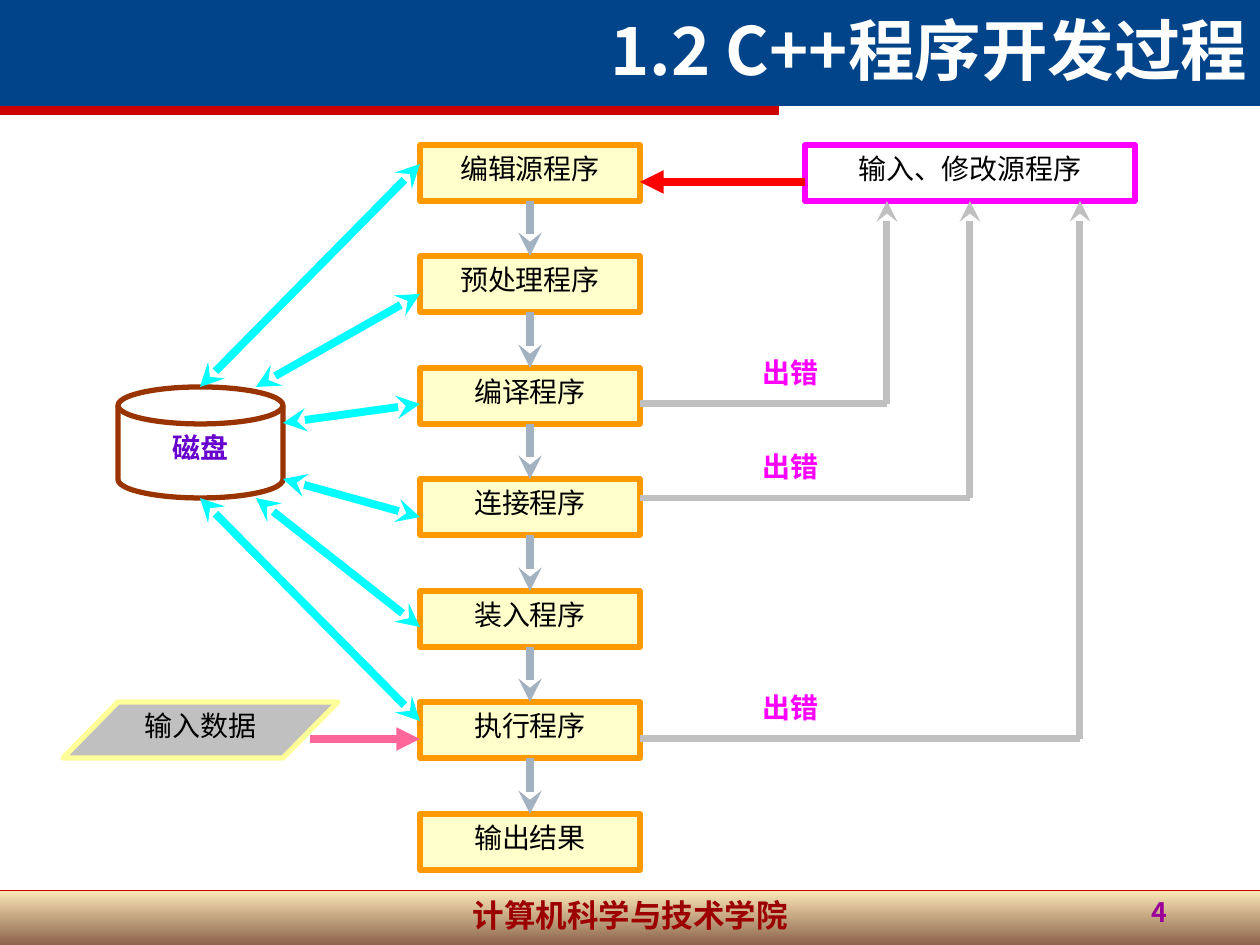
import collections

import lxml.etree
import pptx
import pptx.dml.color
import pptx.enum.shapes
import pptx.enum.text
import pptx.oxml.ns
import pptx.util

RGB = pptx.dml.color.RGBColor
SHAPE = pptx.enum.shapes.MSO_SHAPE
ALIGN = pptx.enum.text.PP_ALIGN
ANCHOR = pptx.enum.text.MSO_ANCHOR
qn = pptx.oxml.ns.qn

BLACK = RGB(0x00, 0x00, 0x00)
WHITE = RGB(0xFF, 0xFF, 0xFF)
NAVY = RGB(0x01, 0x44, 0x8A)
CRIMSON = RGB(0xCC, 0x00, 0x00)
MAROON = RGB(0x9C, 0x00, 0x00)
SAND = RGB(0xFC, 0xE2, 0xA0)
BROWN = RGB(0x66, 0x30, 0x12)
PURPLE = RGB(0x99, 0x00, 0x99)
CREAM = RGB(0xFF, 0xFF, 0xCC)
ORANGE = RGB(0xFF, 0x99, 0x00)
STEEL = RGB(0xA3, 0xB2, 0xC1)
MAGENTA = RGB(0xFF, 0x00, 0xFF)
RED = RGB(0xFF, 0x00, 0x00)
GREY = RGB(0xC0, 0xC0, 0xC0)
RUST = RGB(0x99, 0x33, 0x00)
VIOLET = RGB(0x66, 0x00, 0xCC)
CYAN = RGB(0x00, 0xFF, 0xFF)
YELLOW = RGB(0xFF, 0xFF, 0x99)
PINK = RGB(0xFF, 0x66, 0x99)

SANS = "Noto Sans CJK SC"
SERIF = "Times New Roman"
BODY = {"name": SERIF, "size": pptx.util.Pt(16), "bold": False}
STRONG = {**BODY, "bold": True}
TITLE = {"name": SANS, "size": pptx.util.Pt(38), "bold": True}
FOOTER = {**TITLE, "size": pptx.util.Pt(18)}
PAGE_NUMBER = {**TITLE, "size": pptx.util.Pt(15.3)}

Box = collections.namedtuple("Box", "left top width height")
STAGES = ["编辑源程序", "预处理程序", "编译程序", "连接程序",
          "装入程序", "执行程序", "输出结果"]
BOX_HEIGHT = 56


def px(length):
    return pptx.util.Emu(round(length * 914400 / 126))


def write(shape, text, font, color, align=ALIGN.CENTER, anchor=ANCHOR.TOP, spacing=None):
    frame = shape.text_frame
    frame.word_wrap = True
    frame.vertical_anchor = anchor
    paragraph = frame.paragraphs[0]
    paragraph.alignment = align
    paragraph.line_spacing = spacing
    run = paragraph.add_run()
    run.text = text
    for key, value in font.items():
        setattr(run.font, key, value)
    run.font.color.rgb = color
    east_asian = lxml.etree.SubElement(run.font._element, qn("a:ea"))
    east_asian.set("typeface", SANS)


def add_label(slide, box, text, font, color, **layout):
    write(slide.shapes.add_textbox(*map(px, box)), text, font, color, **layout)


def add_block(slide, kind, box, fill, outline=None):
    block = slide.shapes.add_shape(kind, *map(px, box))
    block.shadow.inherit = False
    block.fill.solid()
    block.fill.fore_color.rgb = fill
    if outline is None:
        block.line.fill.background()
    else:
        block.line.color.rgb = outline
        block.line.width = pptx.util.Pt(3)
    return block


def add_line(slide, start, end, color, width=4.5, head=None, tail=None):
    line = slide.shapes.add_connector(
        pptx.enum.shapes.MSO_CONNECTOR.STRAIGHT, *map(px, start + end))
    line.line.color.rgb = color
    line.line.width = pptx.util.Pt(width)
    for tag, arrow in (("a:headEnd", head), ("a:tailEnd", tail)):
        if arrow:
            lxml.etree.SubElement(line.line._ln, qn(tag)).set("type", arrow)
    lxml.etree.SubElement(line._element.spPr, qn("a:effectLst"))
    return line


def add_header(slide, box):
    left, top, width, height = box
    add_block(slide, SHAPE.RECTANGLE, box, NAVY)
    add_block(slide, SHAPE.RECTANGLE, Box(left, top + height, 779, 9), CRIMSON)
    add_label(slide, Box(left + 392, top, width - 392, 95), "1.2 C++程序开发过程",
              TITLE, WHITE, align=ALIGN.RIGHT, anchor=ANCHOR.BOTTOM)


def add_footer(slide, box):
    left, top, width, height = box
    band = add_block(slide, SHAPE.RECTANGLE, box, SAND)
    band.fill.gradient()
    band.fill.gradient_angle = 270
    for stop, color in zip(band.fill.gradient_stops, (SAND, BROWN)):
        stop.color.rgb = color
    for color in band._element.spPr.iter(qn("a:srgbClr")):
        lxml.etree.SubElement(color, qn("a:alpha")).set("val", "75000")
    add_line(slide, (left, top), (left + width, top), CRIMSON, 0.25)
    add_label(slide, Box(left + 431, top, 399, height), "计算机科学与技术学院", FOOTER, MAROON)
    add_label(slide, Box(left + 907, top + 3, 273, height - 3), "4",
              PAGE_NUMBER, PURPLE, align=ALIGN.RIGHT, spacing=0.9)


def add_stages(slide, box):
    gaps = len(STAGES) - 1
    previous = None
    for index, name in enumerate(STAGES):
        top = box.top + index * (box.height - BOX_HEIGHT) // gaps
        stage = add_block(slide, SHAPE.RECTANGLE,
                          Box(box.left, top, box.width, BOX_HEIGHT), CREAM, ORANGE)
        write(stage, name, BODY, BLACK)
        if previous is not None:
            step = add_line(slide, (0, 0), (0, 0), STEEL, tail="stealth")
            step.begin_connect(previous, 2)
            step.end_connect(stage, 0)
        previous = stage


def add_corrections(slide, box):
    """Source editing box, with the error paths that lead back to it."""
    left, top = box.left, box.top
    source = Box(left + 165, top, 330, BOX_HEIGHT)
    editing = add_block(slide, SHAPE.RECTANGLE, source, WHITE, MAGENTA)
    write(editing, "输入、修改源程序", BODY, BLACK)
    add_line(slide, (source.left, top + 37), (left, top + 37), RED, tail="triangle")
    for across, down in ((247, 259), (330, 353), (440, 594)):
        corner = (left + across, top + down)
        add_line(slide, (left, top + down), corner, GREY, 4)
        add_line(slide, corner, (left + across, top + BOX_HEIGHT), GREY, 4, tail="stealth")
        add_label(slide, Box(left + 82, top + down - 55, 137, 55), "出错", STRONG, MAGENTA)


def add_disk(slide, box, stage_left):
    disk = add_block(slide, SHAPE.FLOWCHART_MAGNETIC_DISK, box, WHITE, RUST)
    write(disk, "磁盘", STRONG, VIOLET)
    accesses = ((-223, 82, 0), (-93, 138, 0), (17, 165, 36),
                (130, 165, 92), (240, 138, box.height), (334, 82, box.height))
    for stage_down, across, down in accesses:
        add_line(slide, (stage_left, box.top + stage_down),
                 (box.left + across, box.top + down), CYAN, head="stealth", tail="stealth")


def add_input_data(slide, box, stage_left):
    data = add_block(slide, SHAPE.FLOWCHART_DATA, box, GREY, YELLOW)
    write(data, "输入数据", BODY, BLACK)
    level = box.top + 37
    add_line(slide, (box.left + 247, level), (stage_left, level), PINK, tail="triangle")


def main():
    deck = pptx.Presentation()
    deck.slide_width, deck.slide_height = px(1260), px(945)
    slide = deck.slides.add_slide(deck.slide_layouts[6])
    stages = Box(420, 145, 220, 725)
    add_footer(slide, Box(0, 890, 1260, 55))
    add_header(slide, Box(0, 0, 1260, 106))
    add_stages(slide, stages)
    add_corrections(slide, Box(stages.left + stages.width, stages.top, 495, 594))
    add_disk(slide, Box(118, 387, 165, 111), stages.left)
    add_input_data(slide, Box(63, 702, 275, BOX_HEIGHT), stages.left)
    deck.save("out.pptx")


if __name__ == "__main__":
    main()
